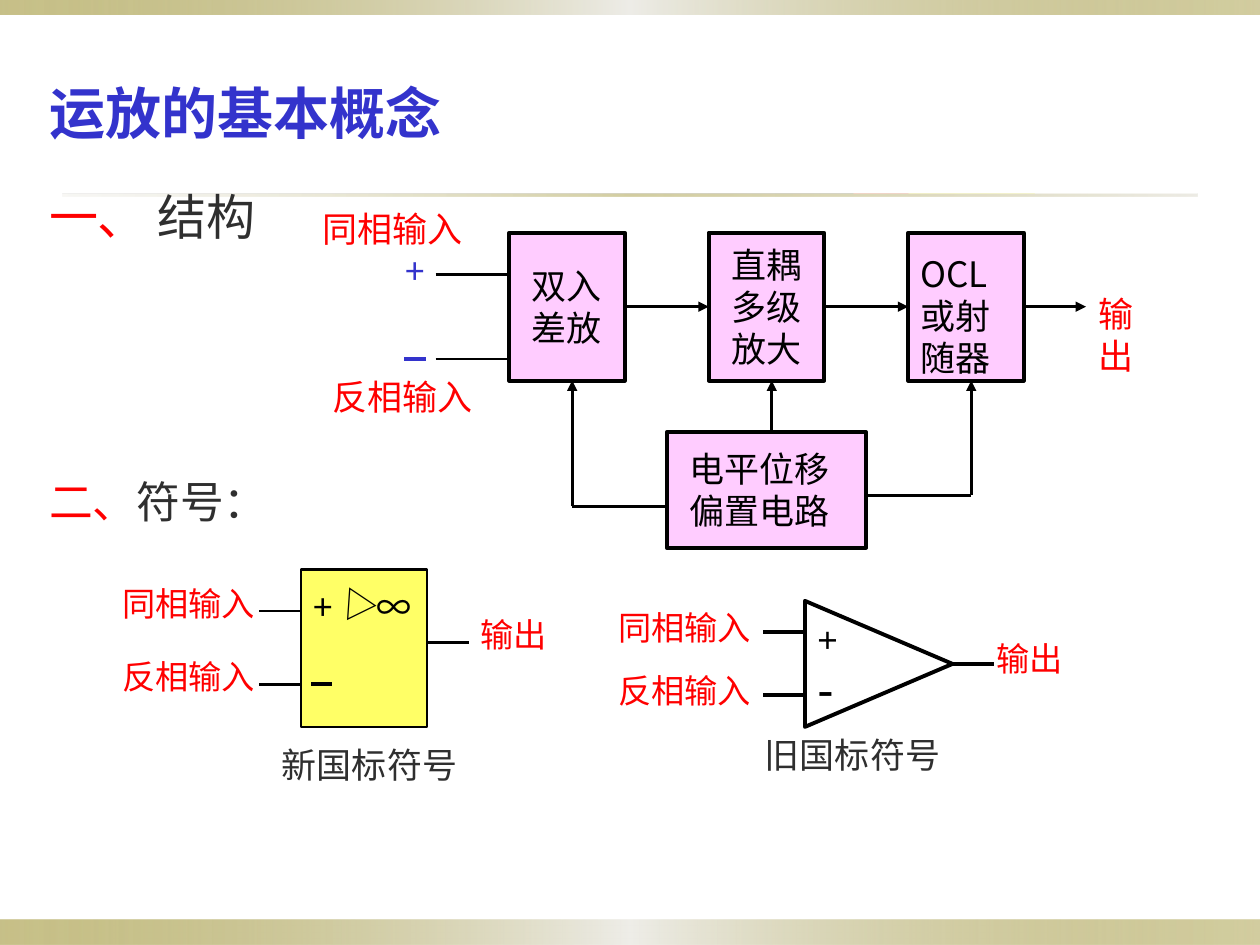
from pptx import Presentation
from pptx.dml.color import RGBColor
from pptx.enum import shapes, text
from pptx.oxml import parse_xml
from pptx.oxml.ns import nsdecls, qn
from pptx.util import Pt

INK = {"blue": "3333CC", "red": "FF0000", "gray": "2F2F2F", "black": "000000",
       "pink": "FFCCFF", "yellow": "FFFF66"}
NOTO = "Noto Sans CJK SC"
RECT = shapes.MSO_SHAPE.RECTANGLE
LEFT, MID = text.PP_ALIGN.LEFT, text.PP_ALIGN.CENTER


def style(run, size, ink, face=NOTO):
    run.font.size = Pt(size)
    run.font.color.rgb = RGBColor.from_string(INK[ink])
    run.font.name = face
    east = parse_xml(f'<a:ea {nsdecls("a")} typeface="{NOTO}"/>')
    run.font._element.find(qn("a:latin")).addnext(east)


def wire(x1, y1, x2, y2, width=1.5, ink="black", arrow=False):
    link = slide.shapes.add_connector(shapes.MSO_CONNECTOR.STRAIGHT,
                                      Pt(x1), Pt(y1), Pt(x2), Pt(y2))
    link.line.width = Pt(width)
    link.line.color.rgb = RGBColor.from_string(INK[ink])
    if arrow:
        link.line._get_or_add_ln().append(
            parse_xml(f'<a:tailEnd {nsdecls("a")} type="triangle"/>'))
    link._element.spPr.append(parse_xml(f'<a:effectLst {nsdecls("a")}/>'))
    return link


prs = Presentation()
prs.slide_width, prs.slide_height = Pt(720), Pt(540)
slide = prs.slides.add_slide(prs.slide_layouts[5])

# Gradient bars: stops are position, colour, opacity
edge = [(0, "918415", 50), (50, "EEEDE8", 100), (100, "918415", 40)]
rule = [(0, "DCD9CC", 20), (50, "918415", 40), (100, "DCD9CC", 50)]
for x, y, w, h, stops in [(0, 525.6, 720, 14.4, edge), (0, 0, 720, 8.6, edge),
                          (36, 110.9, 648, 1.4, rule)]:
    bar = slide.shapes.add_shape(RECT, Pt(x), Pt(y), Pt(w), Pt(h))
    bar.shadow.inherit = False
    bar.line.fill.background()
    bar.fill.gradient()
    bar.fill.gradient_angle = 0
    old = bar._element.spPr.find(qn("a:gradFill")).find(qn("a:gsLst"))
    marks = "".join(
        f'<a:gs pos="{pos * 1000}"><a:srgbClr val="{tone}">'
        f'<a:alpha val="{alpha * 1000}"/></a:srgbClr></a:gs>'
        for pos, tone, alpha in stops)
    old.getparent().replace(
        old, parse_xml(f'<a:gsLst {nsdecls("a")}>{marks}</a:gsLst>'))

# Title
title = slide.shapes.title
title.left, title.top, title.width, title.height = Pt(28), Pt(44.6), Pt(230), Pt(39)
frame = title.text_frame
frame.margin_left = frame.margin_right = frame.margin_top = frame.margin_bottom = 0
frame.text = "运放的基本概念"
frame.paragraphs[0].alignment = LEFT
style(frame.paragraphs[0].runs[0], 32, "blue")
frame.paragraphs[0].runs[0].font.bold = True

# Section headings
for mark, name, y, size in [("一、 ", "结构", 106.6, 28), ("二、", "符号：", 271.4, 25)]:
    box = slide.shapes.add_textbox(Pt(28), Pt(y), Pt(140), Pt(34))
    frame = box.text_frame
    frame.word_wrap = True
    frame.margin_left = frame.margin_right = frame.margin_top = frame.margin_bottom = 0
    for part, ink in [(mark, "red"), (name, "gray")]:
        run = frame.paragraphs[0].add_run()
        run.text = part
        style(run, size, ink)

# Blocks: left, top, width, height, fill, line, alignment, top and right inset, text
blocks = []
for x, y, w, h, fill, width, align, top, right, words in [
        (291, 133, 66, 84.5, "pink", 2.25, MID, 0, 7.2, "双入差放"),
        (405, 133, 66, 84.5, "pink", 2.25, MID, 0, 7.2, "直耦多级放大"),
        (519, 133, 66, 84.5, "pink", 2.25, LEFT, 10, 7.2, "OCL或射随器"),
        (381, 247, 114, 66, "pink", 2.25, MID, 0, 15, "电平位移\n偏置电路"),
        (172, 325.4, 72, 90, "yellow", 1.5, MID, 0, 7.2, "")]:
    block = slide.shapes.add_shape(RECT, Pt(x), Pt(y), Pt(w), Pt(h))
    block.shadow.inherit = False
    block.fill.solid()
    block.fill.fore_color.rgb = RGBColor.from_string(INK[fill])
    block.line.color.rgb = RGBColor.from_string(INK["black"])
    block.line.width = Pt(width)
    frame = block.text_frame
    frame.margin_top, frame.margin_bottom, frame.margin_right = Pt(top), 0, Pt(right)
    if words:
        frame.text = words
        for para in frame.paragraphs:
            para.alignment = align
            style(para.runs[0], 20, "black")
    blocks.append(block)

# Signal chain
for here, there in zip(blocks[:2], blocks[1:3]):
    link = wire(0, 0, 9, 9, arrow=True)
    link.begin_connect(here, 3)
    link.end_connect(there, 1)
out = wire(585, 175.25, 620.6, 175.25, arrow=True)
out.begin_connect(blocks[2], 3)
for y in (157, 205.2):
    wire(249, y, 291, y)
wire(231, 205.2, 243.4, 205.2, 2.25, "blue")

# Bias feeds
wire(381, 289.4, 327, 289.4)
wire(495, 283, 555, 283)
for x, y in [(327, 289.4), (441, 247), (555, 283)]:
    wire(x, y, x, 217.5, arrow=True)

# New symbol leads and minus sign
for x, y in [(148.3, 349.2), (148.3, 391), (244, 367.2)]:
    wire(x, y, x + 23.8, y)
wire(178, 391, 190, 391, 2.25)

# Old symbol triangle and leads
pen = slide.shapes.build_freeform(Pt(460), Pt(343.4))
pen.add_line_segments([(Pt(544.3), Pt(379.4)), (Pt(460), Pt(415.4))], close=True)
amp = pen.convert_to_shape()
amp.shadow.inherit = False
amp.fill.background()
amp.line.color.rgb = RGBColor.from_string(INK["black"])
amp.line.width = Pt(2.25)
for x, y in [(436.3, 361.4), (436.3, 397.4), (544.3, 379.4)]:
    wire(x, y, x + 23.8, y, 2.25)

# Labels: text, left, top, width, height, size, colour, font, inset, turn
for words, x, y, w, h, size, ink, face, pad, turn in [
        ("+", 224.6, 139, 30, 31, 20, "blue", NOTO, 7.2, 0),
        ("反相输入", 183, 211, 102, 31, 20, "red", NOTO, 7.2, 0),
        ("同相输入", 177, 115.2, 102, 31, 20, "red", NOTO, 7.2, 0),
        ("输出", 620.6, 163.4, 54, 55, 20, "red", NOTO, 7.2, 0),
        ("同相输入", 70, 333.2, 80, 23, 19, "red", NOTO, 0, 0),
        ("反相输入", 70, 375.2, 80, 23, 19, "red", NOTO, 0, 0),
        ("输出", 274.3, 351.2, 48, 23, 19, "red", NOTO, 0, 0),
        ("▽", 190.8, 332.5, 30, 31, 20, "black", NOTO, 7.2, 273.9),
        ("∞", 208, 331.2, 42, 31, 20, "black", NOTO, 7.2, 0),
        ("+", 172, 331.2, 30, 31, 20, "black", NOTO, 7.2, 0),
        ("新国标符号", 154, 421.2, 132, 31, 20, "gray", "Arial", 7.2, 0),
        ("+", 460, 349.2, 30, 31, 20, "black", "Arial", 7.2, 0),
        ("-", 460, 373, 36, 41, 28, "black", "Arial", 7.2, 0),
        ("同相输入", 346.3, 343.4, 94, 30, 19, "red", NOTO, 7.2, 0),
        ("反相输入", 346.3, 379.4, 94, 30, 19, "red", NOTO, 7.2, 0),
        ("输出", 562.3, 361.4, 56, 30, 19, "red", NOTO, 7.2, 0),
        ("旧国标符号", 430, 415.4, 120, 31, 20, "gray", "Arial", 7.2, 0)]:
    label = slide.shapes.add_textbox(Pt(x), Pt(y), Pt(w), Pt(h))
    label.rotation = turn
    frame = label.text_frame
    frame.word_wrap = True
    frame.margin_left = frame.margin_right = Pt(pad)
    frame.margin_top = frame.margin_bottom = Pt(pad / 2)
    frame.text = words
    style(frame.paragraphs[0].runs[0], size, ink, face)

prs.save("out.pptx")
